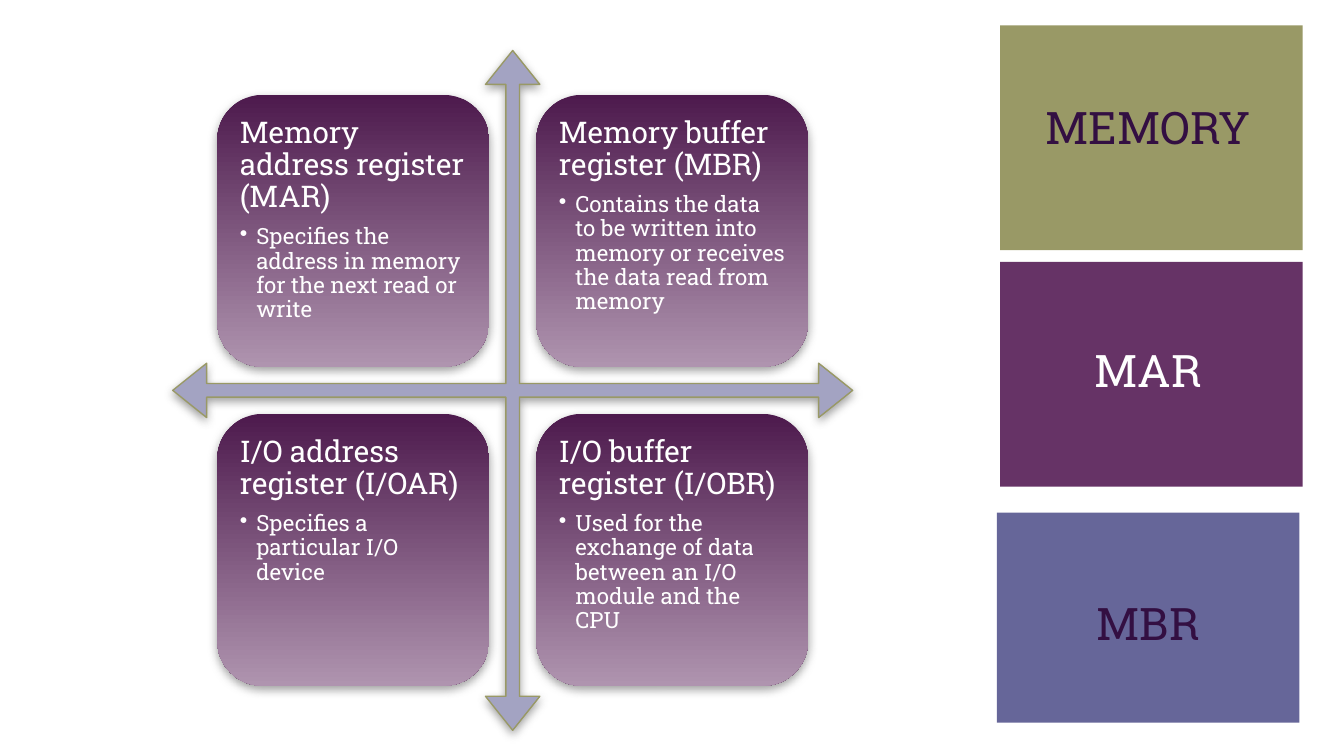
from lxml import etree
from pptx import Presentation
from pptx.dml.color import RGBColor
from pptx.enum.shapes import MSO_SHAPE
from pptx.enum.text import MSO_ANCHOR, PP_ALIGN
from pptx.oxml.ns import qn
from pptx.util import Cm, Pt

RECTANGLE = MSO_SHAPE.RECTANGLE
ROUNDED = MSO_SHAPE.ROUNDED_RECTANGLE
QUAD_ARROW = MSO_SHAPE.QUAD_ARROW
TOP, BOTTOM = MSO_ANCHOR.TOP, MSO_ANCHOR.BOTTOM
LEFT, CENTER = PP_ALIGN.LEFT, PP_ALIGN.CENTER

WHITE = RGBColor(0xFF, 0xFF, 0xFF)
OLIVE = RGBColor(0x99, 0x99, 0x66)
PLUM = RGBColor(0x66, 0x33, 0x66)
SLATE = RGBColor(0x66, 0x66, 0x99)
LAVENDER = RGBColor(0xA3, 0xA3, 0xC2)
DARK_PLUM = RGBColor(0x4D, 0x1A, 0x4D)
PALE_PLUM = RGBColor(0xAF, 0x94, 0xAF)
INK = RGBColor(0x33, 0x0F, 0x42)
SHADOW = RGBColor(0x80, 0x80, 0x80)
FONT = "Roboto Slab"

# Row by row: register name, purpose
REGISTERS = [
    [("Memory address register (MAR)",
      "Specifies the address in memory for the next read or write"),
     ("Memory buffer register (MBR)",
      "Contains the data to be written into memory or receives the data "
      "read from memory")],
    [("I/O address register (I/OAR)", "Specifies a particular I/O device"),
     ("I/O buffer register (I/OBR)",
      "Used for the exchange of data between an I/O module and the CPU")],
]
# Block left, top, height and fill; label, its top, height, anchor and colour (cm)
BLOCKS = [
    (18.9, 0.48, 4.25, OLIVE, "MEMORY", 1.27, 1.75, BOTTOM, INK),
    (18.9, 4.95, 4.25, PLUM, "MAR", 6.35, 1.28, TOP, WHITE),
    (18.84, 9.69, 3.97, SLATE, "MBR", 11.13, 1.28, TOP, INK),
]
BLOCK_WIDTH = 5.72
LABEL_LEFT = 18.84
CENTER_X, CENTER_Y = 9.69, 7.38
ARROW_SIZE = 12.85
PANEL_SIZE, PANEL_GAP = 5.14, 0.89
PANEL_INSET = Cm(0.18)
BULLET_INDENT = Cm(0.31)


def add_shape(slide, kind, left, top, width, height):
    shape = slide.shapes.add_shape(kind, Cm(left), Cm(top), Cm(width), Cm(height))
    shape.shadow.inherit = False
    shape.line.fill.background()
    return shape


def add_soft_shadow(shape):
    effects = shape._element.spPr.find(qn("a:effectLst"))
    outer = etree.SubElement(
        effects, qn("a:outerShdw"), blurRad=str(Pt(5)), dist=str(Pt(2)),
        dir="5400000", algn="ctr", rotWithShape="0")
    color = etree.SubElement(outer, qn("a:srgbClr"), val=str(SHADOW))
    etree.SubElement(color, qn("a:alpha"), val="75000")


def style(paragraph, text, size, color, align):
    paragraph.text = text
    paragraph.alignment = align
    paragraph.font.name = FONT
    paragraph.font.size = Pt(size)
    paragraph.font.color.rgb = color


def add_bullet(paragraph):
    properties = paragraph._p.get_or_add_pPr()
    properties.set("marL", str(BULLET_INDENT))
    properties.set("indent", str(-BULLET_INDENT))
    etree.SubElement(properties, qn("a:buChar"), char="•")


def add_block(slide, left, top, height, fill, label, label_top, label_height,
              anchor, color):
    block = add_shape(slide, RECTANGLE, left, top, BLOCK_WIDTH, height)
    block.fill.solid()
    block.fill.fore_color.rgb = fill
    box = slide.shapes.add_textbox(
        Cm(LABEL_LEFT), Cm(label_top), Cm(BLOCK_WIDTH), Cm(label_height))
    frame = box.text_frame
    frame.word_wrap = True
    frame.vertical_anchor = anchor
    style(frame.paragraphs[0], label, 24, color, CENTER)


def add_cross_arrow(slide):
    arrow = add_shape(slide, QUAD_ARROW, CENTER_X - ARROW_SIZE / 2,
                      CENTER_Y - ARROW_SIZE / 2, ARROW_SIZE, ARROW_SIZE)
    for index, value in enumerate((0.02, 0.04, 0.05)):
        arrow.adjustments[index] = value
    arrow.fill.solid()
    arrow.fill.fore_color.rgb = LAVENDER
    arrow.line.color.rgb = OLIVE
    arrow.line.width = Pt(0.75)
    add_soft_shadow(arrow)


def add_panel(slide, left, top, name, purpose):
    panel = add_shape(slide, ROUNDED, left, top, PANEL_SIZE, PANEL_SIZE)
    panel.fill.gradient()
    panel.fill.gradient_angle = 270
    for stop, color in zip(panel.fill.gradient_stops, (DARK_PLUM, PALE_PLUM)):
        stop.color.rgb = color
    add_soft_shadow(panel)

    frame = panel.text_frame
    frame.word_wrap = True
    frame.vertical_anchor = TOP
    frame.margin_left = frame.margin_right = PANEL_INSET
    frame.margin_top = frame.margin_bottom = PANEL_INSET
    heading, detail = frame.paragraphs[0], frame.add_paragraph()
    style(heading, name, 16, WHITE, LEFT)
    heading.space_after = Pt(6)
    add_bullet(detail)
    style(detail, purpose, 12, WHITE, LEFT)
    detail.level = 1
    for paragraph in (heading, detail):
        paragraph.line_spacing = 0.9


def main():
    deck = Presentation()
    deck.slide_width, deck.slide_height = Cm(25.4), Cm(14.29)
    slide = deck.slides.add_slide(deck.slide_layouts[6])

    for block in BLOCKS:
        add_block(slide, *block)

    add_cross_arrow(slide)
    pitch = PANEL_SIZE + PANEL_GAP
    first_left = CENTER_X - PANEL_GAP / 2 - PANEL_SIZE
    first_top = CENTER_Y - PANEL_GAP / 2 - PANEL_SIZE
    for row, registers in enumerate(REGISTERS):
        for column, (name, purpose) in enumerate(registers):
            add_panel(slide, first_left + column * pitch,
                      first_top + row * pitch, name, purpose)

    deck.save("out.pptx")


if __name__ == "__main__":
    main()
